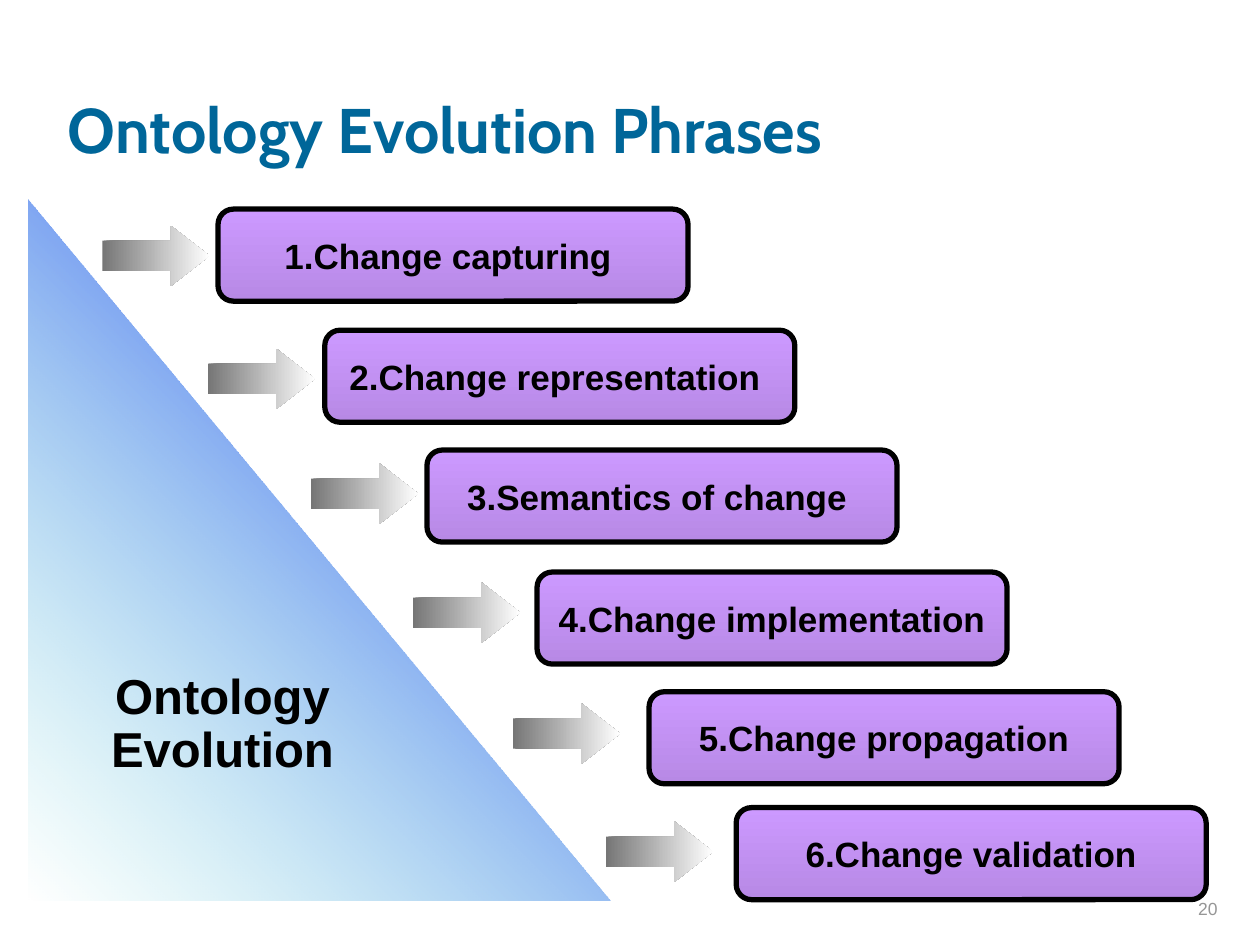
import pptx
import pptx.util
import pptx.dml.color
import pptx.enum.shapes
import pptx.enum.text
from lxml import etree

Pt = pptx.util.Pt
MSO = pptx.enum.shapes.MSO_SHAPE
ALIGN = pptx.enum.text.PP_ALIGN
ANCHOR = pptx.enum.text.MSO_ANCHOR

# Content: label, box (left, top), arrow (left, top)
TITLE = "Ontology Evolution Phrases"
PAGE = "20"
TOPIC = ["Ontology", "Evolution"]
PHASES = [
    ("1.Change capturing ", (124.6, 119.5), (58.5, 128.9)),
    ("2.Change representation ", (185.6, 188.7), (118.8, 199.2)),
    ("3.Semantics of change ", (244, 257.2), (177.8, 264.8)),
    ("4.Change implementation", (306.9, 326.9), (236.1, 332.8)),
    ("5.Change propagation", (370.9, 395.3), (293.2, 401.9)),
    ("6.Change validation", (420.7, 461.5), (346.3, 469.4)),
]
BOX_SIZE = (268.6, 52.6)
ARROW_SIZE = (61.2, 34.6)


def color(value):
    return pptx.dml.color.RGBColor.from_string(value)


def write(sp, lines, size, hex_color, font="Arial", bold=True,
          align=ALIGN.CENTER, anchor=ANCHOR.MIDDLE, wrap=False, spacing=None):
    tf = sp.text_frame
    tf.word_wrap = wrap
    tf.vertical_anchor = anchor
    for i, line in enumerate(lines):
        p = tf.add_paragraph() if i else tf.paragraphs[0]
        p.alignment = align
        p.line_spacing = spacing
        r = p.add_run()
        r.text = line
        r.font.name = font
        r.font.size = Pt(size)
        r.font.bold = bold
        r.font.color.rgb = color(hex_color)


def add_gradient_shape(s, kind, pos, size, colors, angle):
    sp = s.shapes.add_shape(kind, *map(Pt, pos + size))
    sp.shadow.inherit = False
    sp.line.fill.background()
    sp.fill.gradient()
    sp.fill.gradient_angle = angle
    for stop, value in zip(sp.fill.gradient_stops, colors):
        stop.color.rgb = color(value)
    return sp


prs = pptx.Presentation()
prs.slide_width, prs.slide_height = Pt(720), Pt(540)
s = prs.slides.add_slide(prs.slide_layouts[6])

# Title and page number
title = s.shapes.add_textbox(Pt(31.7), Pt(8.6), Pt(612), Pt(90))
write(title, [TITLE], 36, "006699", font="Cabin", align=ALIGN.LEFT,
      anchor=ANCHOR.BOTTOM, wrap=True)
page = s.shapes.add_textbox(Pt(553), Pt(492.5), Pt(149.8), Pt(36))
write(page, [PAGE], 10, "969696", bold=False, align=ALIGN.RIGHT,
      anchor=ANCHOR.BOTTOM, wrap=True)

# Triangle, fading out towards its lower left corner
triangle = add_gradient_shape(s, MSO.RIGHT_TRIANGLE, (16.3, 113.8),
                              (332.6, 401), ("33CCCC", "0000FF"), 45)
first_stop = triangle._element.spPr.xpath(".//a:gs/a:srgbClr")[0]
etree.SubElement(first_stop, pptx.oxml.ns.qn("a:alpha"), val="0")
write(triangle, TOPIC, 28, "000000", spacing=0.9)

# Staircase of phases, each with its arrow
for label, box_pos, arrow_pos in PHASES:
    arrow = add_gradient_shape(s, MSO.RIGHT_ARROW, arrow_pos, ARROW_SIZE,
                               ("767676", "FFFFFF"), 0)
    arrow.adjustments[1] = 0.64
    box = add_gradient_shape(s, MSO.ROUNDED_RECTANGLE, box_pos, BOX_SIZE,
                             ("CC99FF", "B789E5"), 270)
    box.line.color.rgb = color("000000")
    box.line.width = Pt(3)
    write(box, [label], 20, "000000")

prs.save("out.pptx")
